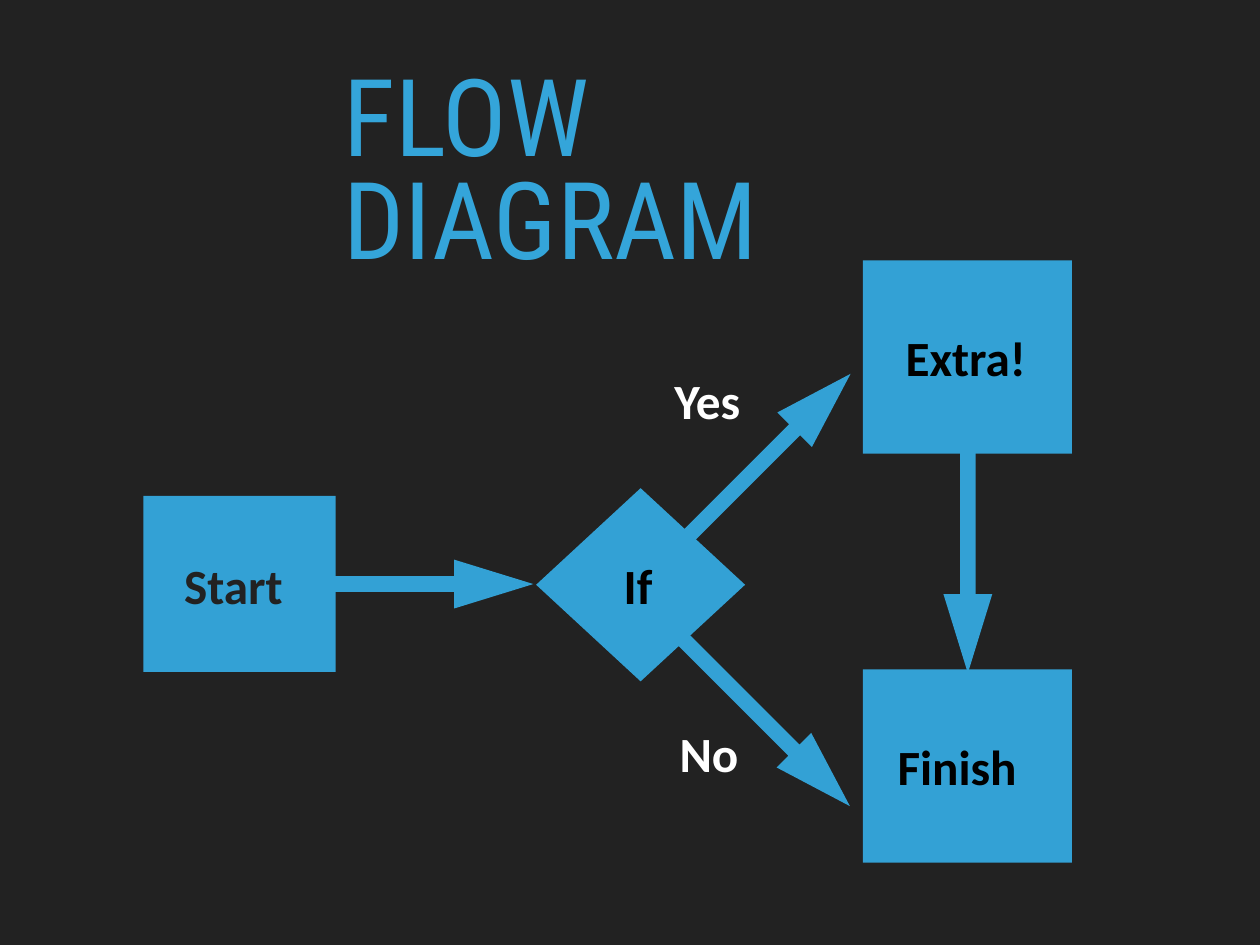
from dataclasses import dataclass

from pptx import Presentation
from pptx.dml.color import RGBColor
from pptx.enum.shapes import MSO_SHAPE
from pptx.enum.text import MSO_ANCHOR
from pptx.util import Cm, Pt


@dataclass(frozen=True)
class Theme:
    """Colours, fonts and type sizes of the slide."""
    back: str = "222222"
    node: str = "33A1D5"
    title: str = "34A5DA"
    dark: str = "000000"
    light: str = "FFFFFF"
    title_font: str = "Roboto Condensed"
    label_font: str = "Calibri"
    title_size: float = 87.3
    label_size: float = 40


THEME = Theme()
TITLE_FONT = {"name": THEME.title_font, "size": Pt(THEME.title_size)}
LABEL_FONT = {"name": THEME.label_font, "size": Pt(THEME.label_size), "bold": True}
TITLE_PARA = {"space_before": Pt(21), "line_spacing": 0.8}
LABEL_PARA = {"space_before": Pt(24)}
INSETS = {f"margin_{side}": Cm(0.15) for side in ("left", "top", "right", "bottom")}
ARROW_SIZE = (6.73, 1.4)
BIG_NODE = (5.99, 5.54)
SMALL_NODE = (5.51, 5.05)

NODES = [
    (MSO_SHAPE.RECTANGLE, (0, 6.75), SMALL_NODE),
    (MSO_SHAPE.RECTANGLE, (20.63, 0), BIG_NODE),
    (MSO_SHAPE.DIAMOND, (11.26, 6.53), BIG_NODE),
    (MSO_SHAPE.RECTANGLE, (20.63, 11.73), BIG_NODE),
]
ARROWS = [((4.45, 8.58), 0), ((14.53, 4.93), 315), ((14.51, 12.57), 45), ((20.27, 7.77), 90)]
LABELS = [
    ("Start", (1.02, 8.3), (3.78, 2.01), THEME.back),
    ("Extra!", (21.7, 1.65), (4.37, 2.24), THEME.dark),
    ("If", (13.62, 8.18), (1.27, 2.24), THEME.dark),
    ("Finish", (21.47, 13.38), (4.34, 2.24), THEME.dark),
    ("Yes", (15.07, 2.89), (2.62, 2.24), THEME.light),
    ("No", (15.22, 13), (2.34, 2.24), THEME.light),
]


def apply(obj, values):
    """Set every attribute named in a dict of format values."""
    for name, value in values.items():
        setattr(obj, name, value)


def add_text(slide, box, text, color, font, para, anchor):
    """Add one left-aligned paragraph in a wrapped text box."""
    tf = slide.shapes.add_textbox(*map(Cm, box)).text_frame
    apply(tf, {**INSETS, "word_wrap": True, "vertical_anchor": anchor})
    p = tf.paragraphs[0]
    apply(p, para)
    r = p.add_run()
    r.text = text
    apply(r.font, font)
    r.font.color.rgb = RGBColor.from_string(color)


def add_block(slide, kind, box):
    """Add a flat shape in the node colour."""
    sp = slide.shapes.add_shape(kind, *map(Cm, box))
    sp.shadow.inherit = False
    sp.fill.solid()
    sp.fill.fore_color.rgb = RGBColor.from_string(THEME.node)
    sp.line.fill.background()
    return sp


def add_title(slide, box):
    """Write the slide title in its box."""
    add_text(slide, box, "FLOW DIAGRAM", THEME.title, TITLE_FONT, TITLE_PARA, MSO_ANCHOR.TOP)


def add_flow(slide, box):
    """Draw nodes, arrows and labels relative to the corner of the box."""
    left, top = box

    def place(at, size):
        """Turn an offset in the diagram into a slide box."""
        return (left + at[0], top + at[1], *size)

    for kind, at, size in NODES:
        add_block(slide, kind, place(at, size))
    for at, angle in ARROWS:
        sp = add_block(slide, MSO_SHAPE.RIGHT_ARROW, place(at, ARROW_SIZE))
        sp.rotation = angle
        sp.adjustments[0], sp.adjustments[1] = 0.32, 1.62
    for text, at, size, color in LABELS:
        add_text(slide, place(at, size), text, color, LABEL_FONT, LABEL_PARA, MSO_ANCHOR.MIDDLE)


def main():
    """Build and save the slide."""
    prs = Presentation()
    apply(prs, {"slide_width": Cm(36.12), "slide_height": Cm(27.1)})
    s = prs.slides.add_slide(prs.slide_layouts[6])
    s.background.fill.solid()
    s.background.fill.fore_color.rgb = RGBColor.from_string(THEME.back)
    add_title(s, (9.7, 1.98, 16.74, 3.94))
    add_flow(s, (4.11, 7.47))
    prs.save("out.pptx")


if __name__ == "__main__":
    main()
